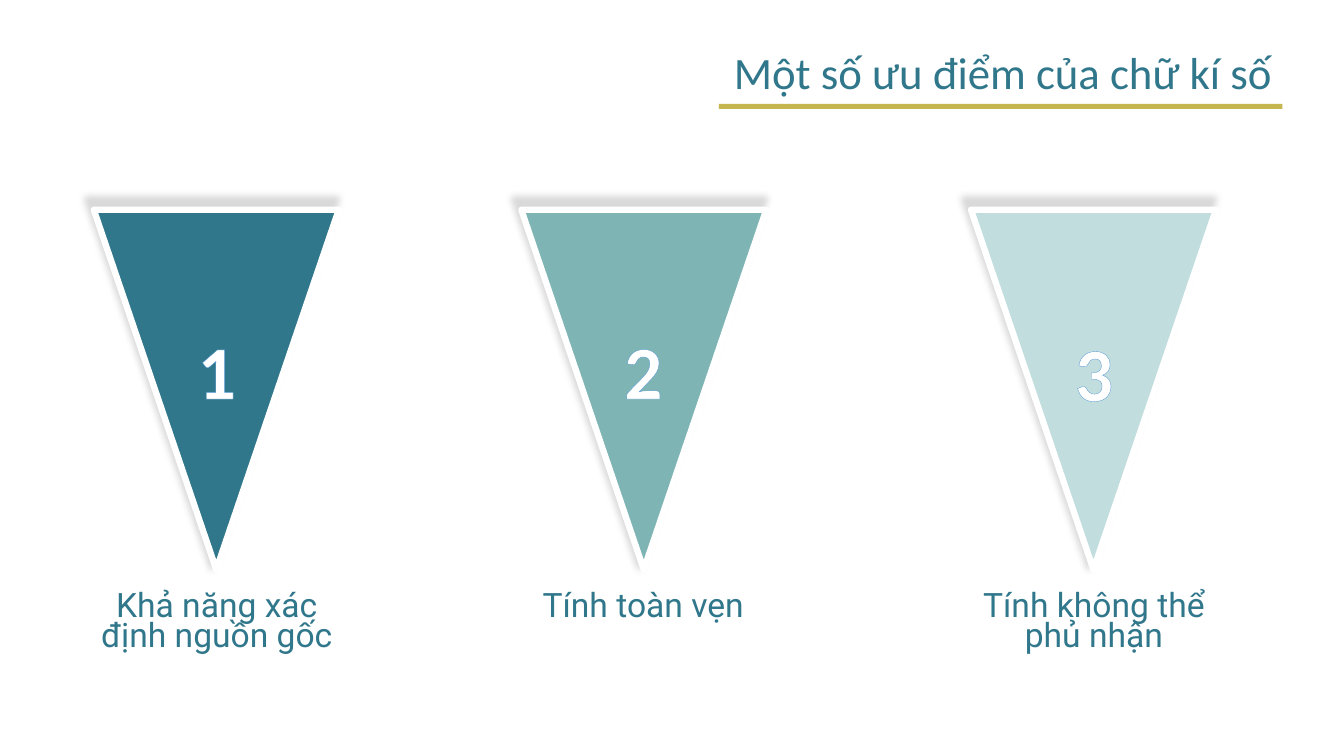
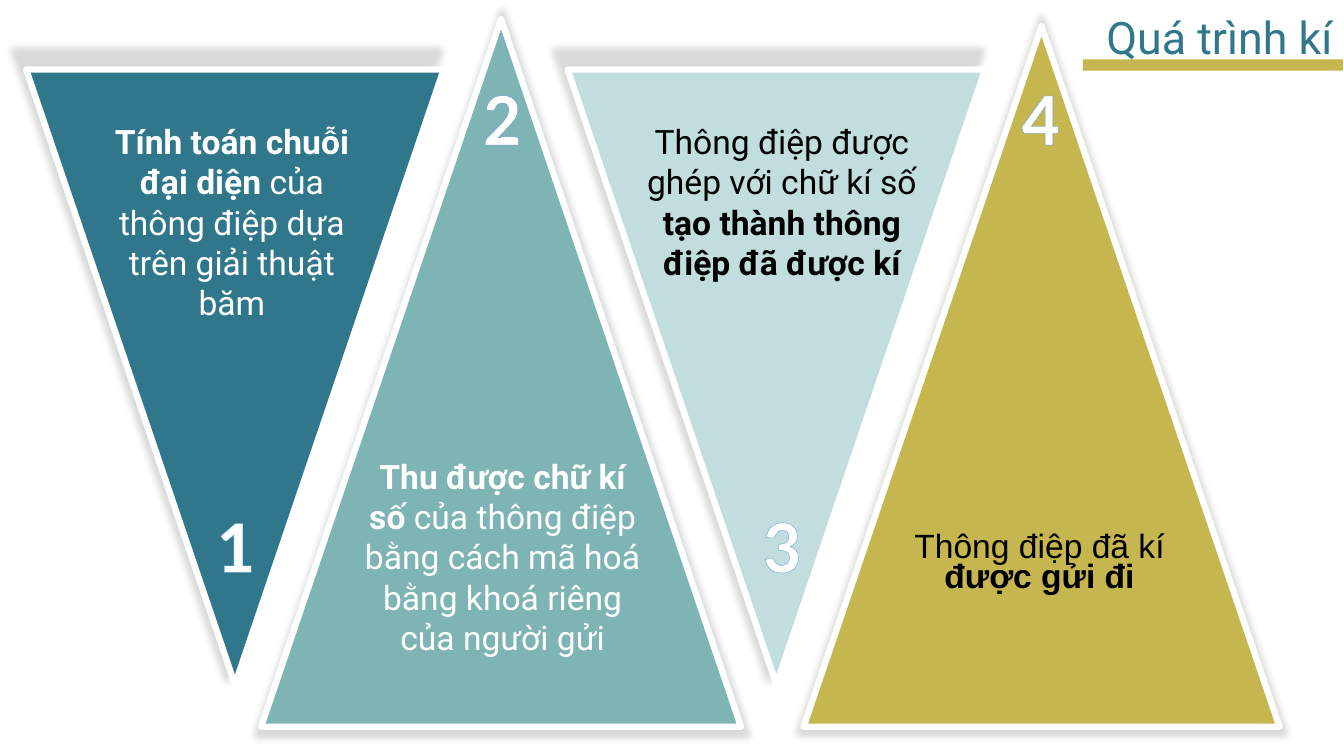
from lxml import etree
from pptx import Presentation
from pptx.dml.color import RGBColor
from pptx.enum.shapes import MSO_SHAPE
from pptx.enum.text import MSO_ANCHOR, PP_ALIGN
from pptx.oxml import parse_xml
from pptx.oxml.ns import nsdecls
from pptx.util import Inches, Pt

TRIANGLE, RECT = MSO_SHAPE.ISOSCELES_TRIANGLE, MSO_SHAPE.RECTANGLE
CENTER, RIGHT, TOP = PP_ALIGN.CENTER, PP_ALIGN.RIGHT, MSO_ANCHOR.TOP

TEAL = RGBColor(0x30, 0x77, 0x8B)
SAGE = RGBColor(0x7E, 0xB4, 0xB4)
MIST = RGBColor(0xC1, 0xDD, 0xDE)
GOLD = RGBColor(0xC5, 0xB6, 0x4F)
WHITE = RGBColor(0xFF, 0xFF, 0xFF)
BLACK = RGBColor(0x00, 0x00, 0x00)

SHADOW = f"""<a:effectLst {nsdecls('a')}>
  <a:outerShdw blurRad="63500" sx="102000" sy="102000" algn="ctr" rotWithShape="0">
    <a:srgbClr val="000000"><a:alpha val="15000"/></a:srgbClr>
  </a:outerShdw></a:effectLst>"""
NUMBER_OUTLINE = f"""<a:ln w="10160" {nsdecls('a')}>
  <a:solidFill><a:srgbClr val="5B9BD5"/></a:solidFill></a:ln>"""

# title, font, title box, underline top, underline height
TITLES = [
    ("Một số ưu điểm của chữ kí số", "Calibri", (7.13, 0.39, 5.59, 0.64), 1.03, 0.05),
    ("Quá trình kí", "Roboto", (10.74, 0.05, 2.58, 0.64), 0.59, 0.11),
]

# triangle box, points down, fill, number, number centre and top
TRIANGLES = [
    [
        ((0.93, 2.08, 2.43, 3.57), True, TEAL, "1", 2.15, 3.16),
        ((5.17, 2.08, 2.43, 3.57), True, SAGE, "2", 6.38, 3.16),
        ((9.63, 2.08, 2.43, 3.57), True, MIST, "3", 10.85, 3.18),
    ],
    [
        ((2.59, 0.19, 4.76, 7.02), False, SAGE, "2", 4.98, 0.64),
        ((5.63, 0.69, 4.14, 6.1), True, MIST, "3", 7.75, 4.88),
        ((0.26, 0.69, 4.14, 6.1), True, TEAL, "1", 2.33, 4.88),
        ((7.97, 0.26, 4.72, 6.95), False, GOLD, "4", 10.32, 0.64),
    ],
]

# box, runs as (text, bold), font, colour, space before, line spacing
LABELS = [
    [
        ((0.8, 5.84, 2.7, 0.69), [("Khả năng xác định nguồn gốc", False)],
         "Roboto", TEAL, 10, 21.6),
        ((5.03, 5.84, 2.7, 0.46), [("Tính toàn vẹn", False)],
         "Roboto", TEAL, 10, 21.6),
        ((9.5, 5.84, 2.7, 0.69), [("Tính không thể phủ nhận", False)],
         "Roboto", TEAL, 10, 21.6),
    ],
    [
        ((0.95, 1.15, 2.7, 2.12),
         [("Tính toán chuỗi đại diện ", True),
          ("của thông điệp dựa trên giải thuật băm", False)],
         "Roboto", WHITE, 10, None),
        ((3.48, 4.47, 3.01, 2.12),
         [("Thu được chữ kí số ", True),
          ("của thông điệp bằng cách mã hoá bằng khoá riêng của người gửi", False)],
         "Roboto", WHITE, 0, None),
        ((6.25, 1.15, 3.01, 1.72),
         [("Thông điệp được ghép với chữ kí số ", False),
          ("tạo thành thông điệp đã được kí", True)],
         "Roboto", BLACK, 0, None),
        ((8.95, 5.26, 2.72, 0.64),
         [("Thông điệp đã kí ", False), ("được gửi đi", True)],
         "Arial", BLACK, 10, 21.6),
    ],
]


def format_run(r, font, size, color, bold=False):
    r.font.name, r.font.size, r.font.bold = font, Pt(size), bold
    r.font.color.rgb = color


def add_block(s, kind, box, fill):
    sp = s.shapes.add_shape(kind, *map(Inches, box))
    sp.shadow.inherit = False
    sp.fill.solid()
    sp.fill.fore_color.rgb = fill
    sp.line.fill.background()
    return sp


prs = Presentation()
prs.slide_width, prs.slide_height = Inches(13.33), Inches(7.5)

for heading, triangles, labels in zip(TITLES, TRIANGLES, LABELS):
    s = prs.slides.add_slide(prs.slide_layouts[5])

    title, font, box, rule_top, rule_height = heading
    sp = s.shapes.title
    sp.left, sp.top, sp.width, sp.height = map(Inches, box)
    tf = sp.text_frame
    tf.text = title
    tf.word_wrap, tf.vertical_anchor = True, TOP
    p = tf.paragraphs[0]
    p.alignment = RIGHT
    format_run(p.runs[0], font, 32, TEAL)
    add_block(s, RECT, (box[0], rule_top, box[2], rule_height), GOLD)

    for box, down, fill, number, center, top in triangles:
        sp = add_block(s, TRIANGLE, box, fill)
        sp.rotation = 180 if down else 0
        sp.line.color.rgb, sp.line.width = WHITE, Pt(4.5)
        effects = sp._element.spPr.find("{*}effectLst")
        effects.getparent().replace(effects, etree.fromstring(SHADOW))

    for box, down, fill, number, center, top in triangles:
        sp = s.shapes.add_textbox(*map(Inches, (center - 0.3, top, 0.6, 1.01)))
        tf = sp.text_frame
        tf.text = number
        tf.word_wrap = False
        p = tf.paragraphs[0]
        p.alignment = CENTER
        format_run(p.runs[0], "Calibri", 54, WHITE, True)
        p.runs[0].font._element.insert(0, parse_xml(NUMBER_OUTLINE))

    for box, runs, font, color, before, spacing in labels:
        tf = s.shapes.add_textbox(*map(Inches, box)).text_frame
        tf.word_wrap = True
        p = tf.paragraphs[0]
        p.alignment, p.space_before = CENTER, Pt(before)
        if spacing:
            p.line_spacing = Pt(spacing)
        for text, bold in runs:
            r = p.add_run()
            r.text = text
            format_run(r, font, 24, color, bold)

prs.save("out.pptx")
